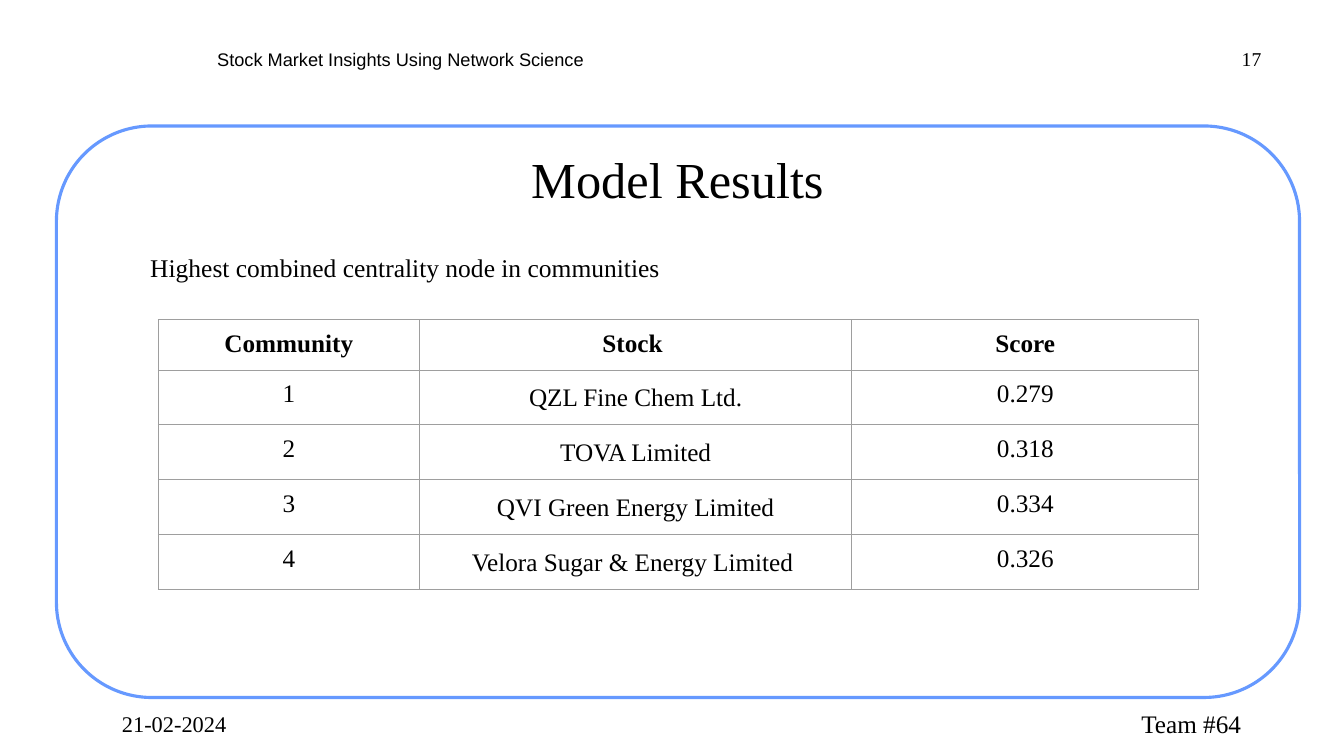
from lxml.etree import SubElement
from pptx import Presentation
from pptx.dml.color import RGBColor
from pptx.enum.shapes import MSO_SHAPE
from pptx.enum.text import MSO_ANCHOR, PP_ALIGN
from pptx.oxml.ns import qn
from pptx.util import Inches, Pt

BLACK = RGBColor(0, 0, 0)
WHITE = RGBColor(255, 255, 255)
BLUE = RGBColor(0x66, 0x99, 0xFF)
GREY = RGBColor(0x9E, 0x9E, 0x9E)
SERIF, SANS = "Times New Roman", "Arial"
LEFT, MID, RIGHT = PP_ALIGN.LEFT, PP_ALIGN.CENTER, PP_ALIGN.RIGHT

# Content: text, box, size, font, alignment, anchor
LABELS = [
    ("Stock Market Insights Using Network Science",
     (0.41, 0.43, 7.12, 0.3), 13, SANS, MID, MSO_ANCHOR.TOP),
    ("Team #64", (11.27, 6.98, 1.71, 0.38), 18, SERIF, LEFT, MSO_ANCHOR.TOP),
    ("21-02-2024", (1.16, 7, 2.08, 0.37), 16, SERIF, LEFT, MSO_ANCHOR.TOP),
    ("Model Results", (1.44, 1.33, 10.56, 0.88), 36, SERIF, MID, MSO_ANCHOR.MIDDLE),
    ("Highest combined centrality node in communities",
     (1.44, 2.45, 10.72, 0.5), 18.2, SERIF, LEFT, MSO_ANCHOR.TOP),
    ("17", (12.25, 0.42, 0.31, 0.34), 14, SERIF, RIGHT, MSO_ANCHOR.TOP),
]
ROWS = [
    ("Community", "Stock ", "Score"),
    ("1", "QZL Fine Chem Ltd.", "0.279"),
    ("2", "TOVA Limited", "0.318"),
    ("3", "QVI Green Energy Limited", "0.334"),
    ("4", "Velora Sugar & Energy Limited ", "0.326"),
]
COLS = (2.59, 4.29, 3.44)
HEAD, BODY = 0.49, 0.54


def write(para, text, size, font, align, bold=False):
    para.alignment = align
    run = para.add_run()
    run.text = text
    run.font.size = Pt(size)
    run.font.name = font
    run.font.bold = bold
    run.font.color.rgb = BLACK


def inset(item, gap):
    item.margin_left = item.margin_right = Inches(gap)
    item.margin_top = item.margin_bottom = Inches(gap)


def border(cell):
    props = cell._tc.get_or_add_tcPr()
    for n, side in enumerate(("lnL", "lnR", "lnT", "lnB")):
        line = SubElement(props, qn("a:" + side), w=str(Pt(0.75)))
        fill = SubElement(line, qn("a:solidFill"))
        SubElement(fill, qn("a:srgbClr"), val=str(GREY))
        props.insert(n, line)  # lines come before the fill


deck = Presentation()
deck.slide_width, deck.slide_height = Inches(13.33), Inches(7.5)
slide = deck.slides.add_slide(deck.slide_layouts[6])

# Rounded frame
frame = slide.shapes.add_shape(MSO_SHAPE.ROUNDED_RECTANGLE, Inches(0.56),
                               Inches(1.25), Inches(12.33), Inches(5.67))
frame.shadow.inherit = False
frame.adjustments[0] = 0.167
frame.fill.solid()
frame.fill.fore_color.rgb = WHITE
frame.line.color.rgb = BLUE
frame.line.width = Pt(2.25)

# Title, subtitle, header and footer
for text, box, size, font, align, anchor in LABELS:
    area = slide.shapes.add_textbox(*map(Inches, box)).text_frame
    area.word_wrap = True
    area.vertical_anchor = anchor
    inset(area, 0.05)
    write(area.paragraphs[0], text, size, font, align)

# Results table
high = HEAD + BODY * (len(ROWS) - 1)
table = slide.shapes.add_table(len(ROWS), len(COLS), Inches(1.57), Inches(3.17),
                               Inches(sum(COLS)), Inches(high)).table
table.horz_banding = False
for col, wide in zip(table.columns, COLS):
    col.width = Inches(wide)
for r, row in enumerate(ROWS):
    table.rows[r].height = Inches(BODY if r else HEAD)
    for c, text in enumerate(row):
        cell = table.cell(r, c)
        inset(cell, 0.1)
        cell.fill.background()
        border(cell)
        para = cell.text_frame.paragraphs[0]
        write(para, text, 18, SERIF, MID, bold=r == 0)
        if r and c == 1:
            para.line_spacing = 1.15

deck.save("out.pptx")
